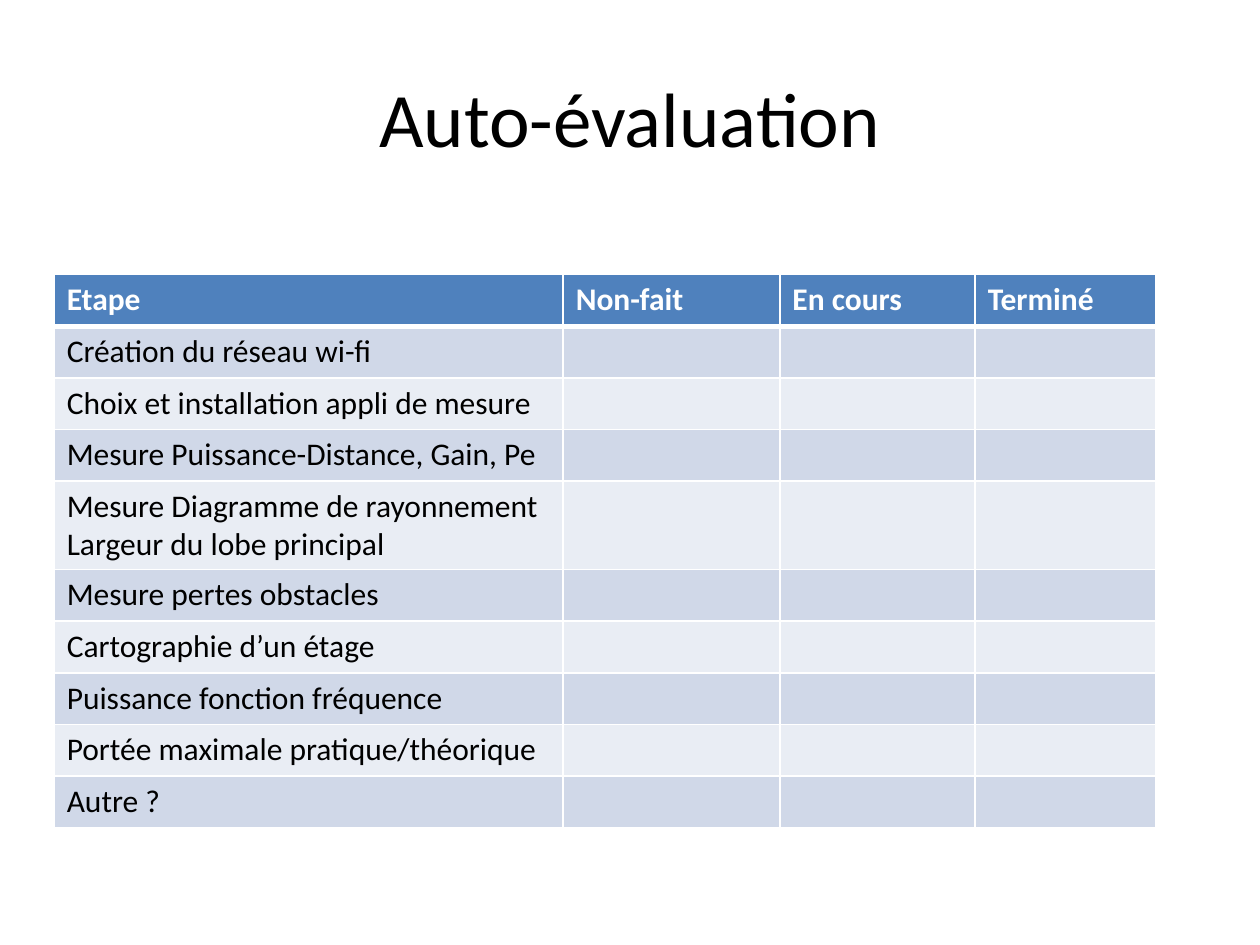
from lxml import etree
from pptx import Presentation
from pptx.dml.color import RGBColor
from pptx.enum import text
from pptx.oxml.ns import qn
from pptx.util import Inches, Pt

BLACK = RGBColor(0x00, 0x00, 0x00)
WHITE = RGBColor(0xFF, 0xFF, 0xFF)
HEADER_BLUE = RGBColor(0x4F, 0x81, 0xBD)
BANDS = [RGBColor(0xD0, 0xD8, 0xE8), RGBColor(0xE9, 0xED, 0xF4)]

HEADINGS = ["Etape", "Non-fait", "En cours", "Terminé"]
STEPS = [
    ["Création du réseau wi-fi"],
    ["Choix et installation appli de mesure"],
    ["Mesure Puissance-Distance, Gain, Pe"],
    ["Mesure Diagramme de rayonnement", "Largeur du lobe principal"],
    ["Mesure pertes obstacles"],
    ["Cartographie d’un étage"],
    ["Puissance fonction fréquence"],
    ["Portée maximale pratique/théorique"],
    ["Autre ?"],
]
COLUMN_WIDTHS = [4.04, 1.72, 1.55, 1.43]
ROW_HEIGHT = 0.41


def add_run(paragraph, wording, size, color, bold=False):
    run = paragraph.add_run()
    run.text = wording
    run.font.name = "Calibri"
    run.font.size = Pt(size)
    run.font.bold = bold
    run.font.color.rgb = color


def style_cell(cell, fill, bottom_width):
    """Fill the cell and give it white borders; they must precede the fill in the XML."""
    properties = cell._tc.get_or_add_tcPr()
    for side, width in [("L", 1), ("R", 1), ("T", 1), ("B", bottom_width)]:
        border = etree.SubElement(properties, qn(f"a:ln{side}"), w=str(Pt(width)))
        solid = etree.SubElement(border, qn("a:solidFill"))
        etree.SubElement(solid, qn("a:srgbClr"), val=str(WHITE))
    cell.fill.solid()
    cell.fill.fore_color.rgb = fill


prs = Presentation()
prs.slide_width, prs.slide_height = Inches(10), Inches(7.5)
slide = prs.slides.add_slide(prs.slide_layouts[6])

title = slide.shapes.add_textbox(Inches(0.5), Inches(0.3), Inches(9), Inches(1.25)).text_frame
title.word_wrap = True
title.vertical_anchor = text.MSO_ANCHOR.MIDDLE
title.paragraphs[0].alignment = text.PP_ALIGN.CENTER
add_run(title.paragraphs[0], "Auto-évaluation", 44, BLACK)

row_count = len(STEPS) + 1
checklist = slide.shapes.add_table(
    row_count, len(HEADINGS), Inches(0.43), Inches(2.18),
    Inches(sum(COLUMN_WIDTHS)), Inches(ROW_HEIGHT * row_count)).table
for column, width in zip(checklist.columns, COLUMN_WIDTHS):
    column.width = Inches(width)
for row in checklist.rows:
    row.height = Inches(ROW_HEIGHT)

for column, heading in enumerate(HEADINGS):
    cell = checklist.cell(0, column)
    style_cell(cell, HEADER_BLUE, 3)
    add_run(cell.text_frame.paragraphs[0], heading, 18, WHITE, bold=True)

for index, lines in enumerate(STEPS):
    for column in range(len(HEADINGS)):
        cell = checklist.cell(index + 1, column)
        style_cell(cell, BANDS[index % 2], 1)
        if index == 0:
            # The shared edge keeps the thick rule under the header
            cell._tc.tcPr.find(qn("a:lnT")).set("w", str(Pt(3)))
    step = checklist.cell(index + 1, 0).text_frame
    for number, line in enumerate(lines):
        paragraph = step.add_paragraph() if number else step.paragraphs[0]
        add_run(paragraph, line, 18, BLACK)

prs.save("out.pptx")
